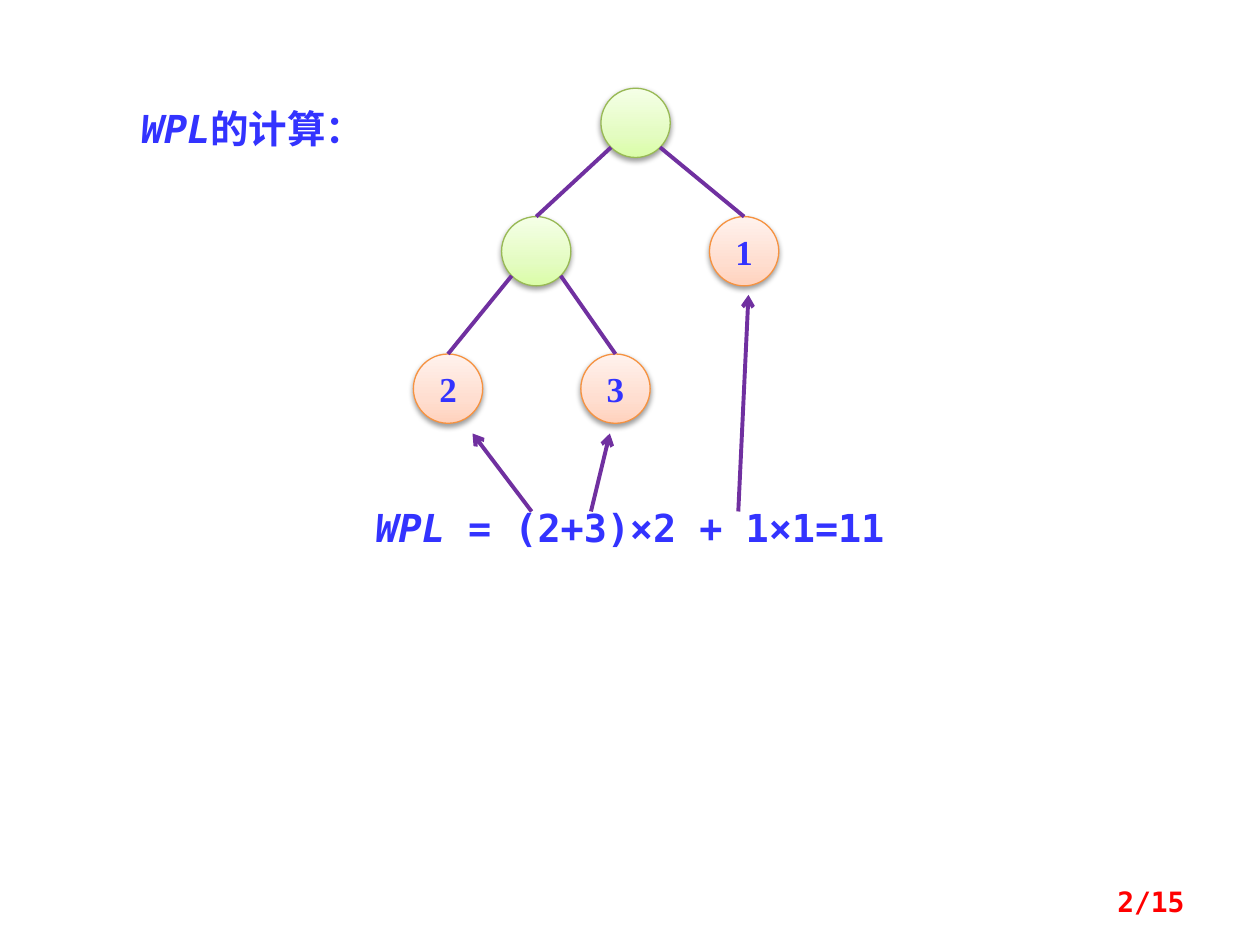
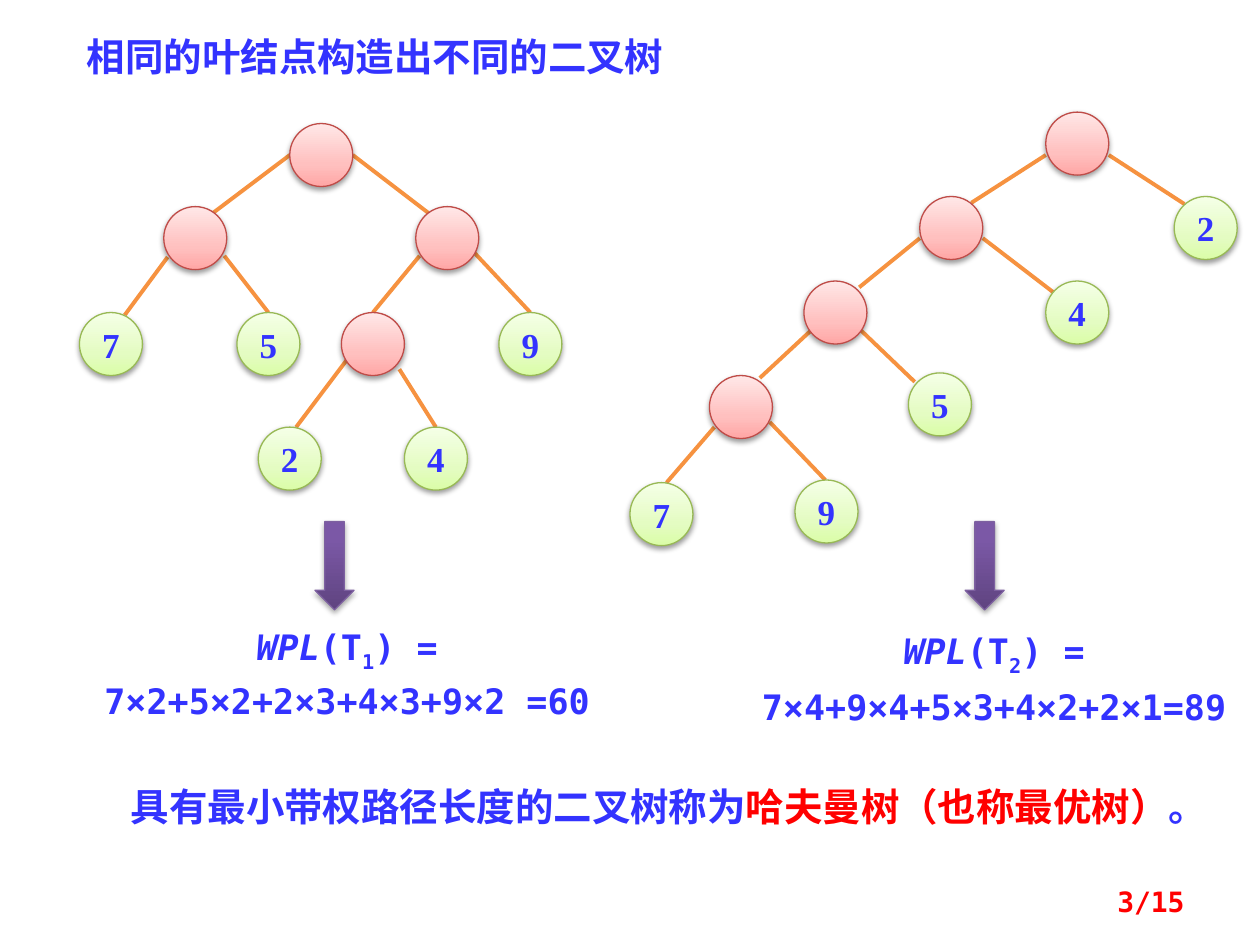
from copy import deepcopy

from lxml.etree import SubElement
from pptx import Presentation
from pptx.dml.color import RGBColor
from pptx.enum.shapes import MSO_CONNECTOR as Link, MSO_SHAPE as Shape
from pptx.enum.text import MSO_ANCHOR as Anchor, MSO_AUTO_SIZE as AutoSize, PP_ALIGN as Align
from pptx.oxml.ns import qn
from pptx.shapes.connector import Connector
from pptx.util import Pt

rgb = RGBColor.from_string
BLUE, RED, PURPLE, ORANGE = "3333FF", "FF0000", "7030A0", "F69240"
MONO, SERIF, CJK = "DejaVu Sans Mono", "Times New Roman", "Noto Sans CJK SC"
# Outline colour, then gradient colours from bottom to top
GREEN_NODE = ("98B955", "DAFDA7", "E4FCC2", "F5FFE7")
PEACH_NODE = ("F69240", "FFD2BD", "FFDED0", "FFF2ED")
PINK_NODE = ("BF4C48", "FFA6A5", "FFC0BF", "FFE7E7")
VIOLET_ARROW = ("7D60A0", "5F4480", "7B58A6", "7C57A8")
ITALIC = {"italic": True}


def write(frame, lines, size, name=MONO, color=BLUE, align=Align.CENTER,
          anchor=Anchor.TOP, wrap=True, spacing=None, before=0):
    """Fill a text frame; each line is a list of (text, format) spans."""
    for key, value in {"word_wrap": wrap, "vertical_anchor": anchor,
                       "auto_size": AutoSize.NONE}.items():
        setattr(frame, key, value)
    for number, line in enumerate(lines):
        para = frame.add_paragraph() if number else frame.paragraphs[0]
        para.alignment = align
        para.line_spacing = spacing
        para.space_before = Pt(before if number else 0)
        for text, extra in line:
            span = para.add_run()
            span.text = text
            look = {"name": name, "size": Pt(size), "bold": True, "italic": False,
                    "color": color, "baseline": None} | extra
            tint, baseline = look.pop("color"), look.pop("baseline")
            for key, value in look.items():
                setattr(span.font, key, value)
            span.font.color.rgb = rgb(tint)
            props = span.font._element
            SubElement(props, qn("a:ea")).set("typeface", CJK)
            if baseline:
                props.set("baseline", str(baseline * 1000))


def add_shaded(page, kind, area, palette, middle=35, opacity=38, drop=1.6):
    """Add a shape with a three-stop vertical gradient and a soft shadow below."""
    shape = page.shapes.add_shape(kind, *map(Pt, area))
    outline, *shades = palette
    shape.fill.gradient()
    shape.fill.gradient_angle = 90
    props = shape.element.spPr
    stop_list = props.find(".//" + qn("a:gsLst"))
    stop_list.append(deepcopy(stop_list[0]))
    for stop, place, shade in zip(shape.fill.gradient_stops, (0, middle / 100, 1), shades):
        stop.position = place
        stop.color.rgb = rgb(shade)
    shape.line.color.rgb = rgb(outline)
    shape.line.width = Pt(0.75)
    shape.shadow.inherit = False
    shadow = SubElement(props.find(qn("a:effectLst")), qn("a:outerShdw"),
                        blurRad=str(Pt(3.1)), dist=str(Pt(drop)), dir="5400000", rotWithShape="0")
    black = SubElement(shadow, qn("a:srgbClr"), val="000000")
    SubElement(black, qn("a:alpha"), val=str(opacity * 1000))
    return shape


deck = Presentation()
deck.slide_width, deck.slide_height = Pt(720), Pt(540)
title_only = deck.slide_layouts[5]

# Titles and page numbers
headings = [
    ((73.4, 56.2, 174.2, 33.8), MONO, [("WPL", ITALIC), ("的计算：", {})]),
    ((42.5, 15.1, 527, 33.8), SERIF, [("相同的叶结点构造出不同的二叉树", {})]),
]
for number, (area, font_name, spans) in enumerate(headings, 2):
    page = deck.slides.add_slide(title_only)
    title = page.shapes.title
    for key, value in zip(("left", "top", "width", "height"), area):
        setattr(title, key, Pt(value))
    write(title.text_frame, [spans], 22, font_name, align=Align.LEFT)
    box = page.shapes.add_textbox(Pt(516.2), Pt(500.4), Pt(167.8), Pt(28.8))
    write(box.text_frame, [[(f"{number}/15", {})]], 16, color=RED,
          align=Align.RIGHT, anchor=Anchor.MIDDLE)
wpl_page, trees_page = deck.slides

# Slide 1: one weighted tree
SIZE = 39.6
weighted_nodes = {
    "root": (343.4, 50.4, ""),
    "inner": (286.6, 123.8, ""),
    "leaf 1": (405.4, 123.8, "1"),
    "leaf 2": (236.2, 202.3, "2"),
    "leaf 3": (331.9, 202.3, "3"),
}
circles = {}
for node, (left, top, weight) in weighted_nodes.items():
    circle = add_shaded(wpl_page, Shape.OVAL, (left, top, SIZE, SIZE),
                        PEACH_NODE if weight else GREEN_NODE)
    if weight:
        write(circle.text_frame, [[(weight, {})]], 20, SERIF, anchor=Anchor.MIDDLE, wrap=False)
    circles[node] = circle

# Branches leave a parent at 45 degrees and reach the top of the child
DIAGONAL = SIZE / 2 * 0.5 ** 0.5
for parent, children in {"root": ("inner", "leaf 1"), "inner": ("leaf 2", "leaf 3")}.items():
    left, top, _ = weighted_nodes[parent]
    for side, child in zip((-1, 1), children):
        start = (left + SIZE / 2 + side * DIAGONAL, top + SIZE / 2 + DIAGONAL)
        branch = wpl_page.shapes.add_connector(Link.STRAIGHT, *map(Pt, start), 0, 0)
        branch.end_connect(circles[child], 0)

box = wpl_page.shapes.add_textbox(Pt(185.8), Pt(284.4), Pt(348.5), Pt(33.8))
write(box.text_frame, [[("WPL ", ITALIC), ("= (2+3)×2 + 1×1=11", {})]], 22)

pointers = []
for start_x, end_x, end_y in [(303.8, 270, 247.7), (337.7, 348.5, 247.7), (421.9, 427.7, 168.5)]:
    pointers.append(wpl_page.shapes.add_connector(
        Link.STRAIGHT, Pt(start_x), Pt(292.3), Pt(end_x), Pt(end_y)))

# Slide 2: two trees with the same leaves
branches = [
    # first tree
    (165.6, 88.6, 121.7, 121.7), (201.6, 88.6, 244.8, 121.7),
    (95.8, 146.9, 71.3, 180), (128.2, 146.2, 153.4, 178.6),
    (239.8, 146.2, 213.1, 178.6), (270.7, 144, 303.1, 178.6),
    (198, 205.9, 169.2, 244.1), (228.2, 211, 249.1, 244.1),
    # second tree
    (597.6, 88.6, 555.1, 115.9), (633.6, 88.6, 676.8, 116.6),
    (525.6, 136.1, 491, 164.2), (561.6, 136.1, 601.9, 167),
    (463.7, 188.6, 434.2, 216), (491.8, 188.6, 522.7, 218.2),
    (408.2, 244.1, 380.9, 275.8), (439.9, 241.2, 471.6, 274.3),
]
for ends in branches:
    trees_page.shapes.add_connector(Link.STRAIGHT, *map(Pt, ends))

tree_nodes = [
    # first tree
    (165.6, 70.6, ""), (93.6, 118.1, ""), (237.6, 118.1, ""),
    (45.4, 178.6, "7"), (135.4, 178.6, "5"), (195.1, 178.6, ""), (285.1, 178.6, "9"),
    (147.6, 244.1, "2"), (231.1, 244.1, "4"),
    # second tree
    (597.6, 64.1, ""), (525.6, 112.3, ""), (671, 112.3, "2"),
    (459.4, 160.6, ""), (597.6, 160.6, "4"), (405.4, 214.6, ""), (519.1, 213.1, "5"),
    (360, 275.8, "7"), (454.3, 274.3, "9"),
]
for left, top, weight in tree_nodes:
    circle = add_shaded(trees_page, Shape.OVAL, (left, top, 36, 36),
                        GREEN_NODE if weight else PINK_NODE)
    if weight:
        write(circle.text_frame, [[(weight, {})]], 20, SERIF, anchor=Anchor.MIDDLE, wrap=False)

path_lengths = [
    ("1", "7×2+5×2+2×3+4×3+9×2 =60", 180, (42.5, 356.4, 311.8, 58.3), 0.8, 11),
    ("2", "7×4+9×4+5×3+4×2+2×1=89", 551.5, (427.7, 350.6, 280.8, 65.5), 1.2, 0),
]
for index, total, arrow_left, area, spacing, before in path_lengths:
    box = trees_page.shapes.add_textbox(*map(Pt, area))
    label = [("WPL", ITALIC), ("(T", {}), (index, {"baseline": -25}), (") =", {})]
    write(box.text_frame, [label, [(total, {})]], 20, spacing=spacing, before=before)
    add_shaded(trees_page, Shape.DOWN_ARROW, (arrow_left, 298.1, 22.3, 50.4),
               VIOLET_ARROW, middle=80, opacity=35, drop=1.8)

box = trees_page.shapes.add_textbox(Pt(67.7), Pt(444.2), Pt(641.5), Pt(33.8))
definition = [("具有最小带权路径长度的二叉树称为", {}),
              ("哈夫曼树（也称最优树）", {"color": RED}), ("。", {})]
write(box.text_frame, [definition], 22, CJK, align=Align.LEFT)

# Every line of a page has the same look; pointers get an arrowhead
for page, color in ((wpl_page, PURPLE), (trees_page, ORANGE)):
    for shape in page.shapes:
        if isinstance(shape, Connector):
            shape.line.color.rgb = rgb(color)
            shape.line.width = Pt(2.25)
            SubElement(shape._element.spPr, qn("a:effectLst"))
for pointer in pointers:
    SubElement(pointer._element.spPr.find(qn("a:ln")), qn("a:tailEnd"), type="arrow")

deck.save("out.pptx")
